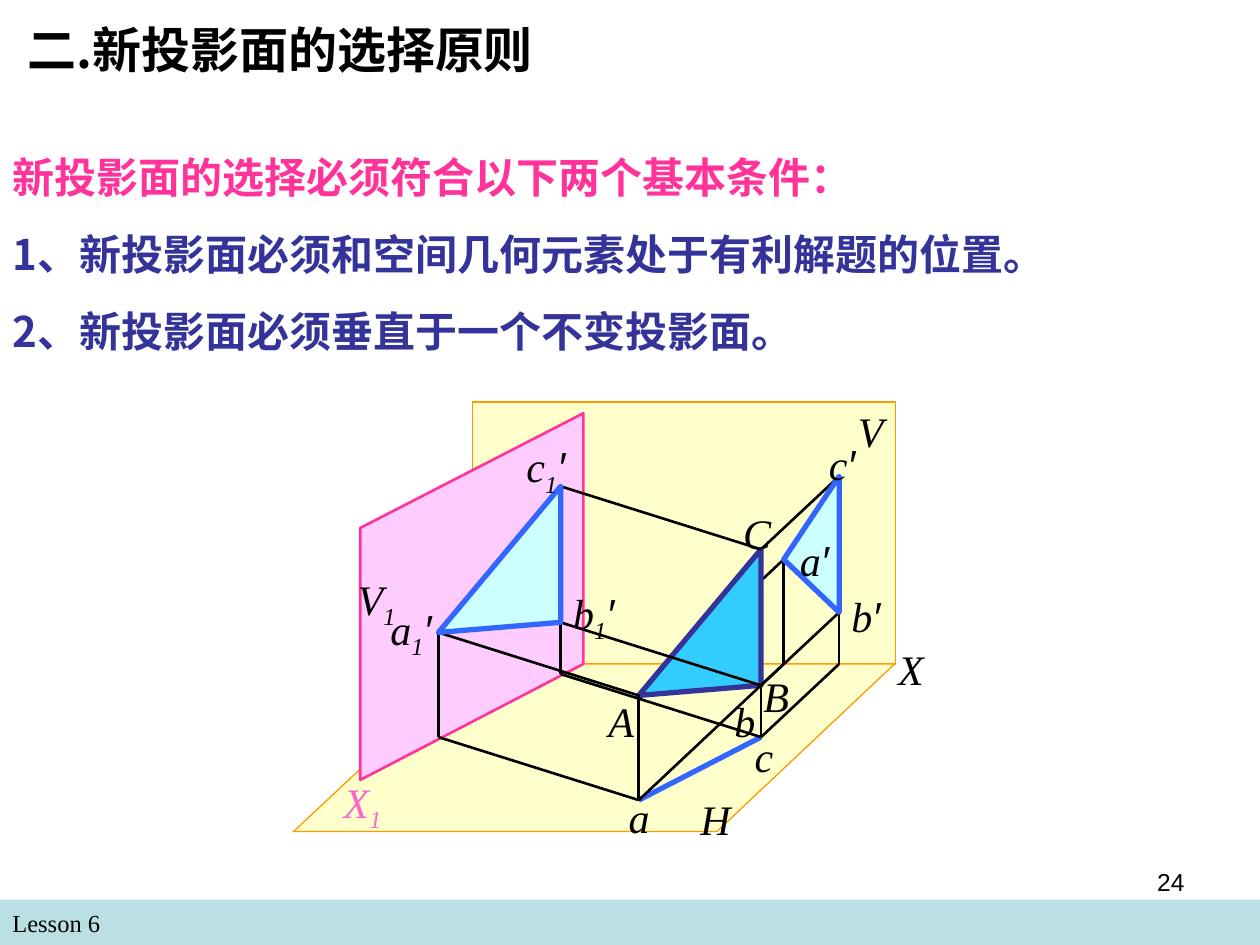
"""Build the slide on choosing a new projection plane."""
import dataclasses

import pptx
import pptx.dml.color
import pptx.enum.shapes
import pptx.enum.text
import pptx.oxml
import pptx.oxml.ns
import pptx.util

Inches = pptx.util.Inches
Pt = pptx.util.Pt


@dataclasses.dataclass(frozen=True)
class Theme:
    """Colours, fonts, type sizes and line widths of the slide."""
    black: str = "000000"
    pink: str = "FF3399"
    axis_pink: str = "FF66CC"
    navy: str = "333399"
    blue: str = "3366FF"
    orange: str = "FF9900"
    cream: str = "FFFFCC"
    rose: str = "FFCCFF"
    sky: str = "33CCFF"
    ice: str = "CCFFFF"
    band: str = "BBE0E3"
    heading_font: str = "Noto Sans CJK SC"
    label_font: str = "Times New Roman"
    symbol_font: str = "Arial"
    title_size: int = 28
    text_size: int = 24
    small_size: int = 14
    thin: float = 0.75
    medium: float = 1.5
    thick: float = 3


THEME = Theme()

SPACE_POINTS = {
    "A": (5.07, 5.52), "B": (6.04, 5.44), "C": (6.04, 4.36),
    "a": (5.07, 6.35), "b": (6.04, 5.85),
}
FRONT_POINTS = {
    "a′": (6.22, 4.44), "b′": (6.66, 4.86), "c′": (6.66, 3.78),
    "ax": (6.22, 5.27), "bx": (6.66, 5.27),
}
NEW_PLANE_NAMES = {"A": "a1′", "B": "b1′", "C": "c1′", "a": "ax1", "b": "bx1"}
NEW_PLANE_SHIFT = (-1.59, -0.5)

BACK_LINES = [("c′", "C"), ("a′", "A")]
FRONT_LINES = [
    ("b′", "bx"), ("a′", "ax"), ("A", "a"), ("bx", "b"), ("ax", "a"),
    ("b′", "B"), ("B", "b"), ("C", "c1′"), ("B", "b1′"), ("A", "a1′"),
    ("a", "ax1"), ("b", "bx1"), ("a1′", "ax1"), ("b1′", "bx1"),
]
LABELS = [
    ("V", 6.71, 3.17), ("A", 4.73, 5.47), ("H", 5.46, 6.25),
    ("C", 5.80, 3.98), ("B", 5.96, 5.27), ("X", 7.03, 5.06),
    ("a", 4.89, 6.23), ("b", 5.73, 5.47), ("c", 5.89, 5.75),
    ("c′", 6.48, 3.43), ("b′", 6.66, 4.64), ("a′", 6.25, 4.19),
    ("V1", 2.74, 4.5), ("X1", 2.63, 6.11),
    ("c1′", 4.08, 3.45), ("b1′", 4.45, 4.61), ("a1′", 3.00, 4.74),
]


def rgb(value):
    """Return a colour object for a hexadecimal value."""
    return pptx.dml.color.RGBColor.from_string(value)


def project_points():
    """Return all named points, including those on the new plane."""
    shift_x, shift_y = NEW_PLANE_SHIFT
    shifted = {
        NEW_PLANE_NAMES[name]: (x + shift_x, y + shift_y)
        for name, (x, y) in SPACE_POINTS.items()
    }
    return SPACE_POINTS | FRONT_POINTS | shifted


def add_run(paragraph, text, *, size, font, color=THEME.black, bold=False,
            italic=False, baseline=None):
    """Append a formatted run to a paragraph."""
    run = paragraph.add_run()
    run.text = text
    run.font.size = Pt(size)
    run.font.name = font
    run.font.bold = bold
    run.font.italic = italic
    run.font.color.rgb = rgb(color)
    properties = run.font._element
    east_asian = pptx.oxml.parse_xml(
        f'<a:ea {pptx.oxml.ns.nsdecls("a")} typeface="{font}"/>')
    properties.find(pptx.oxml.ns.qn("a:latin")).addnext(east_asian)
    if baseline is not None:
        properties.set("baseline", str(baseline))


def write_text(paragraph, text, *, align=pptx.enum.text.PP_ALIGN.LEFT,
               space_before=0, line_spacing=None, **run_format):
    """Write text into a paragraph with the given format."""
    paragraph.alignment = align
    paragraph.space_before = Pt(space_before)
    if line_spacing:
        paragraph.line_spacing = Pt(line_spacing)
    add_run(paragraph, text, **run_format)


def set_frame(shape, box):
    """Place a text shape and give its frame plain settings."""
    shape.left, shape.top, shape.width, shape.height = map(Inches, box)
    frame = shape.text_frame
    frame.word_wrap = True
    frame.auto_size = pptx.enum.text.MSO_AUTO_SIZE.NONE
    frame.vertical_anchor = pptx.enum.text.MSO_ANCHOR.TOP
    return frame


def add_text(slide, box, text, **text_format):
    """Add a text box holding one paragraph."""
    shape = slide.shapes.add_textbox(*map(Inches, box))
    write_text(set_frame(shape, box).paragraphs[0], text, **text_format)


def add_label(slide, text, left, top):
    """Add a point label with subscript digits and upright primes."""
    shape = slide.shapes.add_textbox(0, 0, 0, 0)
    width = {1: 0.4, 2: 0.6, 3: 0.79}[len(text)]
    paragraph = set_frame(shape, (left, top, width, 0.5)).paragraphs[0]
    color = THEME.axis_pink if text == "X1" else THEME.black
    for character in text:
        add_run(paragraph, character, size=THEME.text_size, color=color, italic=True,
                font=THEME.symbol_font if character == "′" else THEME.label_font,
                baseline=-25000 if character == "1" else None)


def paint(shape, fill, line=None, width=THEME.thin):
    """Set the fill and outline of a shape and drop its shadow."""
    shape.shadow.inherit = False
    shape.fill.solid()
    shape.fill.fore_color.rgb = rgb(fill)
    if line:
        shape.line.color.rgb = rgb(line)
        shape.line.width = Pt(width)
    else:
        shape.line.fill.background()


def add_rectangle(slide, box, fill, line=None):
    """Add a filled rectangle."""
    kind = pptx.enum.shapes.MSO_SHAPE.RECTANGLE
    paint(slide.shapes.add_shape(kind, *map(Inches, box)), fill, line)


def add_polygon(slide, corners, fill, line, width):
    """Add a closed outline through the corners."""
    start, *rest = [(Inches(x), Inches(y)) for x, y in corners]
    builder = slide.shapes.build_freeform(*start)
    builder.add_line_segments(rest, close=True)
    paint(builder.convert_to_shape(), fill, line, width)


def add_line(slide, start, end, color=THEME.black, width=THEME.medium):
    """Add a straight line between two points."""
    kind = pptx.enum.shapes.MSO_CONNECTOR.STRAIGHT
    connector = slide.shapes.add_connector(kind, *map(Inches, start + end))
    connector.line.color.rgb = rgb(color)
    connector.line.width = Pt(width)
    connector._element.spPr.append(
        pptx.oxml.parse_xml(f'<a:effectLst {pptx.oxml.ns.nsdecls("a")}/>'))


def fill_placeholders(slide):
    """Write the title and the conditions."""
    heading = {"font": THEME.heading_font, "bold": True}
    title = set_frame(slide.shapes.title, (0.12, 0.1, 5.08, 0.57))
    write_text(title.paragraphs[0], "二.新投影面的选择原则",
               size=THEME.title_size, line_spacing=34, **heading)
    body = set_frame(slide.placeholders[1], (0, 1.15, 8.62, 1.72))
    conditions = [
        ("新投影面的选择必须符合以下两个基本条件：", THEME.pink),
        ("1、新投影面必须和空间几何元素处于有利解题的位置。", THEME.navy),
        ("2、新投影面必须垂直于一个不变投影面。", THEME.navy),
    ]
    for index, (text, color) in enumerate(conditions):
        paragraph = body.add_paragraph() if index else body.paragraphs[0]
        properties = paragraph._p.get_or_add_pPr()
        properties.set("marL", "0")
        properties.set("indent", "0")
        properties.append(
            pptx.oxml.parse_xml(f'<a:buNone {pptx.oxml.ns.nsdecls("a")}/>'))
        write_text(paragraph, text, size=THEME.text_size, color=color,
                   space_before=15 if index else 0, line_spacing=29, **heading)


def draw_projection(slide):
    """Draw the planes, the triangle, its projections and the labels."""
    points = project_points()
    add_rectangle(slide, (3.75, 3.19, 3.36, 2.08), THEME.cream, THEME.orange)
    add_polygon(slide, [(3.75, 5.27), (2.33, 6.6), (5.69, 6.6), (7.1, 5.27)],
                THEME.cream, THEME.orange, THEME.thin)
    add_polygon(slide, [(2.86, 6.19), (4.63, 5.27), (4.63, 3.28), (2.86, 4.19)],
                THEME.rose, THEME.pink, THEME.medium)
    for start, end in BACK_LINES:
        add_line(slide, points[start], points[end])
    add_polygon(slide, [points[name] for name in "CBA"],
                THEME.sky, THEME.navy, THEME.thick)
    add_line(slide, points["a"], points["b"], THEME.blue, THEME.thick)
    for start, end in FRONT_LINES:
        add_line(slide, points[start], points[end])
    for names in (("c′", "b′", "a′"), ("c1′", "b1′", "a1′")):
        add_polygon(slide, [points[name] for name in names],
                    THEME.ice, THEME.blue, THEME.thick)
    for label in LABELS:
        add_label(slide, *label)


def main():
    """Build and save the presentation."""
    presentation = pptx.Presentation()
    presentation.slide_width, presentation.slide_height = Inches(10), Inches(7.5)
    slide = presentation.slides.add_slide(presentation.slide_layouts[1])
    add_rectangle(slide, (0, 7.14, 10, 0.36), THEME.band)
    add_text(slide, (0, 7.16, 4.83, 0.34), "Lesson 6",
             size=THEME.small_size, font=THEME.label_font)
    fill_placeholders(slide)
    draw_projection(slide)
    add_text(slide, (7.17, 6.83, 2.33, 0.52), "24", size=THEME.small_size,
             font=THEME.symbol_font, align=pptx.enum.text.PP_ALIGN.RIGHT)
    presentation.save("out.pptx")


if __name__ == "__main__":
    main()
